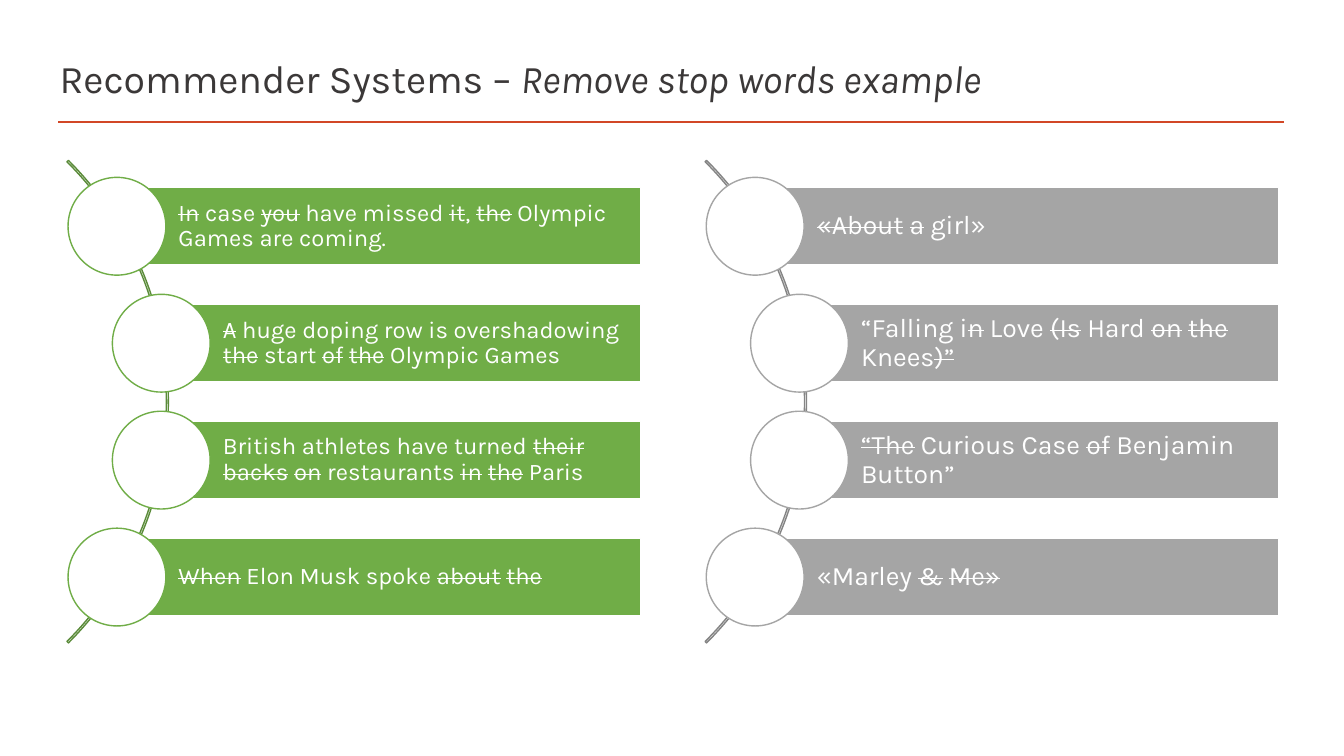
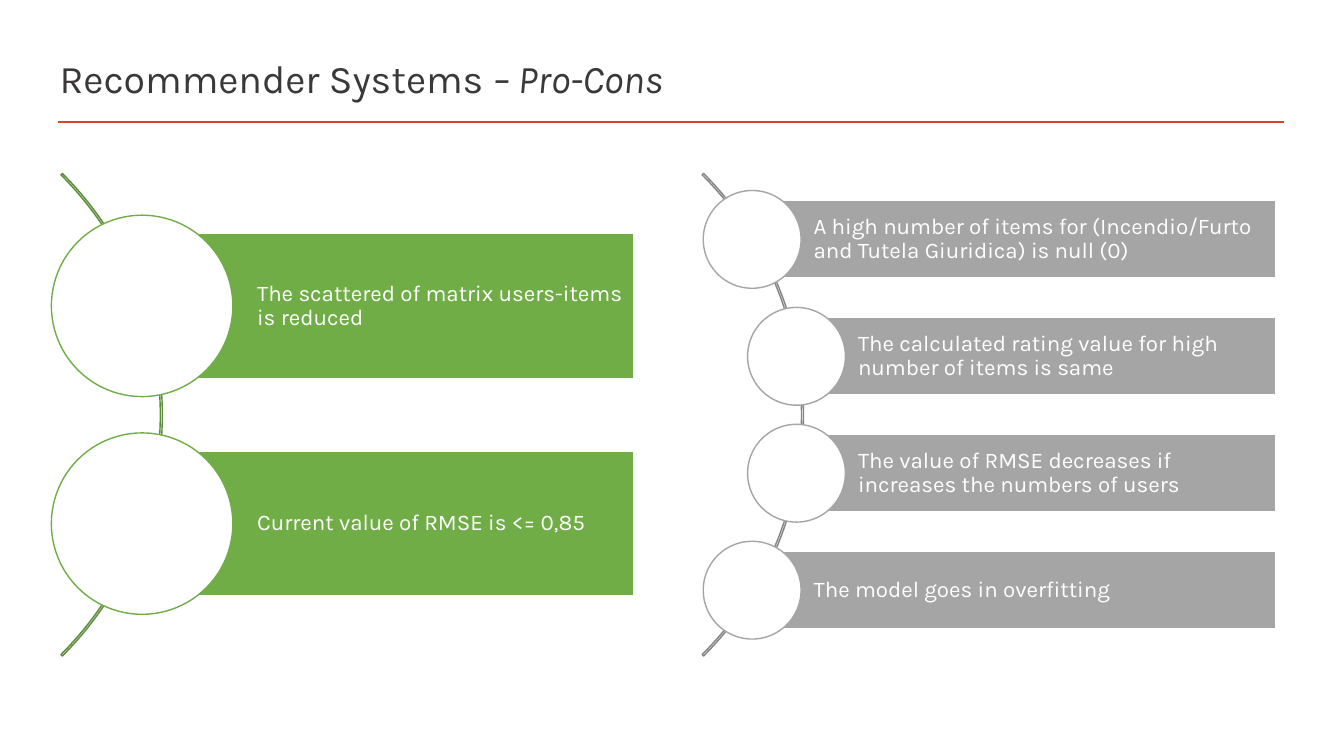
"""Build two recommender system slides, each with a green and a grey curved list."""
from lxml import etree
from pptx import Presentation
from pptx.dml.color import RGBColor
from pptx.enum.shapes import MSO_CONNECTOR, MSO_SHAPE
from pptx.enum.text import MSO_ANCHOR, MSO_AUTO_SIZE, PP_ALIGN
from pptx.oxml.ns import qn
from pptx.util import Inches, Pt

WHITE = RGBColor(0xFF, 0xFF, 0xFF)
TITLE_COLOR = RGBColor(0x3B, 0x38, 0x38)
RULE_COLOR = RGBColor(0xD2, 0x47, 0x26)
GREEN = RGBColor(0x70, 0xAD, 0x47)
DARK_GREEN = RGBColor(0x5A, 0x8B, 0x39)
GREY = RGBColor(0xA5, 0xA5, 0xA5)
DARK_GREY = RGBColor(0x84, 0x84, 0x84)
FONT = "Karla"

STRIKE_MARK = "~"
SLIDES = [
    {
        "title": ("Recommender Systems – ", "Remove stop words example"),
        "arc_top": 0.6,
        "lists": [
            {"arc_left": 1.23, "color": GREY, "arc_color": DARK_GREY, "size": 19, "items": [
                "~«About~ ~a~ girl»",
                "“Falling i~n~ Love ~(Is~ Hard ~on~ ~the~ Knees~)”~",
                "~“The~ Curious Case ~of~ Benjamin Button”",
                "«Marley ~&~ ~Me»~",
            ]},
            {"arc_left": -5.1, "color": GREEN, "arc_color": DARK_GREEN, "size": 17, "items": [
                "~In~ case ~you~ have missed ~it~, ~the~ Olympic Games are coming.",
                "~A~ huge doping row is overshadowing ~the~ start ~of~ ~the~ Olympic Games",
                "British athletes have turned ~their~ ~backs~ ~on~ restaurants ~in~ ~the~ Paris",
                "~When~ Elon Musk spoke ~about~ ~the~",
            ]},
        ],
    },
    {
        "title": ("Recommender Systems ", "– Pro-Cons"),
        "arc_top": 0.73,
        "lists": [
            {"arc_left": -5.16, "color": GREEN, "arc_color": DARK_GREEN, "size": 16, "items": [
                "The scattered of matrix users-items is reduced",
                "Current value of RMSE is <= 0,85",
            ]},
            {"arc_left": 1.2, "color": GREY, "arc_color": DARK_GREY, "size": 16, "items": [
                "A high number of items for (Incendio/Furto and Tutela Giuridica) is null (0)",
                "The calculated rating value for high number of items is same",
                "The value of RMSE decreases if increases the numbers of users",
                "The model goes in overfitting",
            ]},
        ],
    },
]

ARC_SIZE = 6.77
ARC_ADJUSTMENTS = (189, 27, 0.02 / ARC_SIZE)
BAR_RIGHT = 11.45
BAR_LAYOUTS = {
    2: {"lefts": (6.57, 6.57), "pitch": 2.16, "height": 1.44, "circle": 1.8, "inset": 1.14},
    4: {"lefts": (6.26, 6.7, 6.7, 6.26), "pitch": 1.16, "height": 0.77, "circle": 0.97,
        "inset": 0.61},
}


def add_outlined(slide, kind, box, fill, line):
    shape = slide.shapes.add_shape(kind, *(Inches(length) for length in box))
    shape.shadow.inherit = False
    if fill is None:
        shape.fill.background()
    else:
        shape.fill.solid()
        shape.fill.fore_color.rgb = fill
    shape.line.color.rgb = line
    shape.line.width = Pt(1)
    return shape


def write_item(bar, text, size, inset):
    frame = bar.text_frame
    frame.word_wrap = True
    frame.vertical_anchor = MSO_ANCHOR.MIDDLE
    frame.margin_left = Inches(inset)
    frame.margin_top = frame.margin_right = frame.margin_bottom = Inches(0.04)
    paragraph = frame.paragraphs[0]
    paragraph.alignment = PP_ALIGN.LEFT
    paragraph.line_spacing = 0.9
    paragraph.font.name = FONT
    paragraph.font.size = Pt(size)
    paragraph.font.color.rgb = WHITE
    for index, part in enumerate(text.split(STRIKE_MARK)):
        if part:
            run = paragraph.add_run()
            run.text = part
            if index % 2:
                run._r.get_or_add_rPr().set("strike", "sngStrike")


def add_curved_list(slide, arc_top, arc_left, color, arc_color, size, items):
    arc = add_outlined(slide, MSO_SHAPE.BLOCK_ARC, (arc_left, arc_top, ARC_SIZE, ARC_SIZE),
                       None, arc_color)
    for index, value in enumerate(ARC_ADJUSTMENTS):
        arc.adjustments[index] = value
    layout = BAR_LAYOUTS[len(items)]
    height, diameter = layout["height"], layout["circle"]
    first_middle = arc_top + ARC_SIZE / 2 - layout["pitch"] * (len(items) - 1) / 2
    for index, (text, offset) in enumerate(zip(items, layout["lefts"])):
        left = arc_left + offset
        middle = first_middle + index * layout["pitch"]
        bar = add_outlined(slide, MSO_SHAPE.RECTANGLE,
                           (left, middle - height / 2, BAR_RIGHT - offset, height), color, WHITE)
        write_item(bar, text, size, layout["inset"])
        add_outlined(slide, MSO_SHAPE.OVAL,
                     (left - diameter / 2, middle - diameter / 2, diameter, diameter),
                     WHITE, color)


def style_layout(layout, slide):
    title = layout.placeholders[0]
    title.left, title.top = Inches(0.49), Inches(0.47)
    title.width, title.height = Inches(12.26), Inches(0.61)
    rule = slide.shapes.add_connector(MSO_CONNECTOR.STRAIGHT, Inches(0.58), Inches(1.21),
                                      Inches(12.74), Inches(1.21))
    rule.line.color.rgb = RULE_COLOR
    rule.line.width = Pt(2)
    etree.SubElement(rule.element.spPr, qn("a:effectLst"))
    layout.shapes.element.append(rule.element)


def write_title(slide, plain, italic):
    frame = slide.shapes.title.text_frame
    frame.auto_size = MSO_AUTO_SIZE.NONE
    frame.vertical_anchor = MSO_ANCHOR.MIDDLE
    paragraph = frame.paragraphs[0]
    paragraph.alignment = PP_ALIGN.LEFT
    paragraph.font.name = FONT
    paragraph.font.size = Pt(28)
    paragraph.font.color.rgb = TITLE_COLOR
    paragraph.add_run().text = plain
    emphasis = paragraph.add_run()
    emphasis.text = italic
    emphasis.font.italic = True


def main():
    presentation = Presentation()
    presentation.slide_width = Inches(13.33)
    presentation.slide_height = Inches(7.5)
    layout = presentation.slide_layouts[5]
    for number, content in enumerate(SLIDES):
        slide = presentation.slides.add_slide(layout)
        if number == 0:
            style_layout(layout, slide)
        write_title(slide, *content["title"])
        for curved_list in content["lists"]:
            add_curved_list(slide, content["arc_top"], **curved_list)
    presentation.save("out.pptx")


if __name__ == "__main__":
    main()
